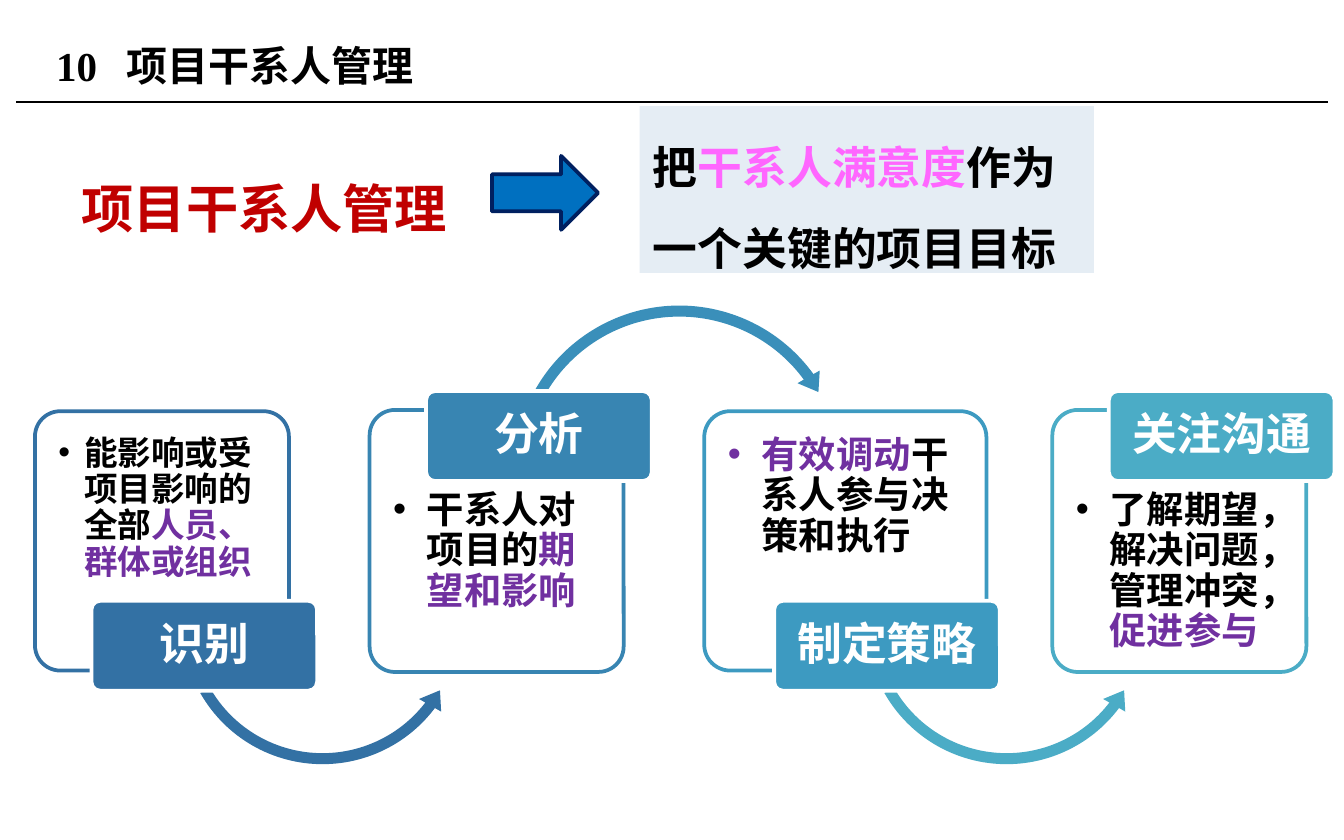
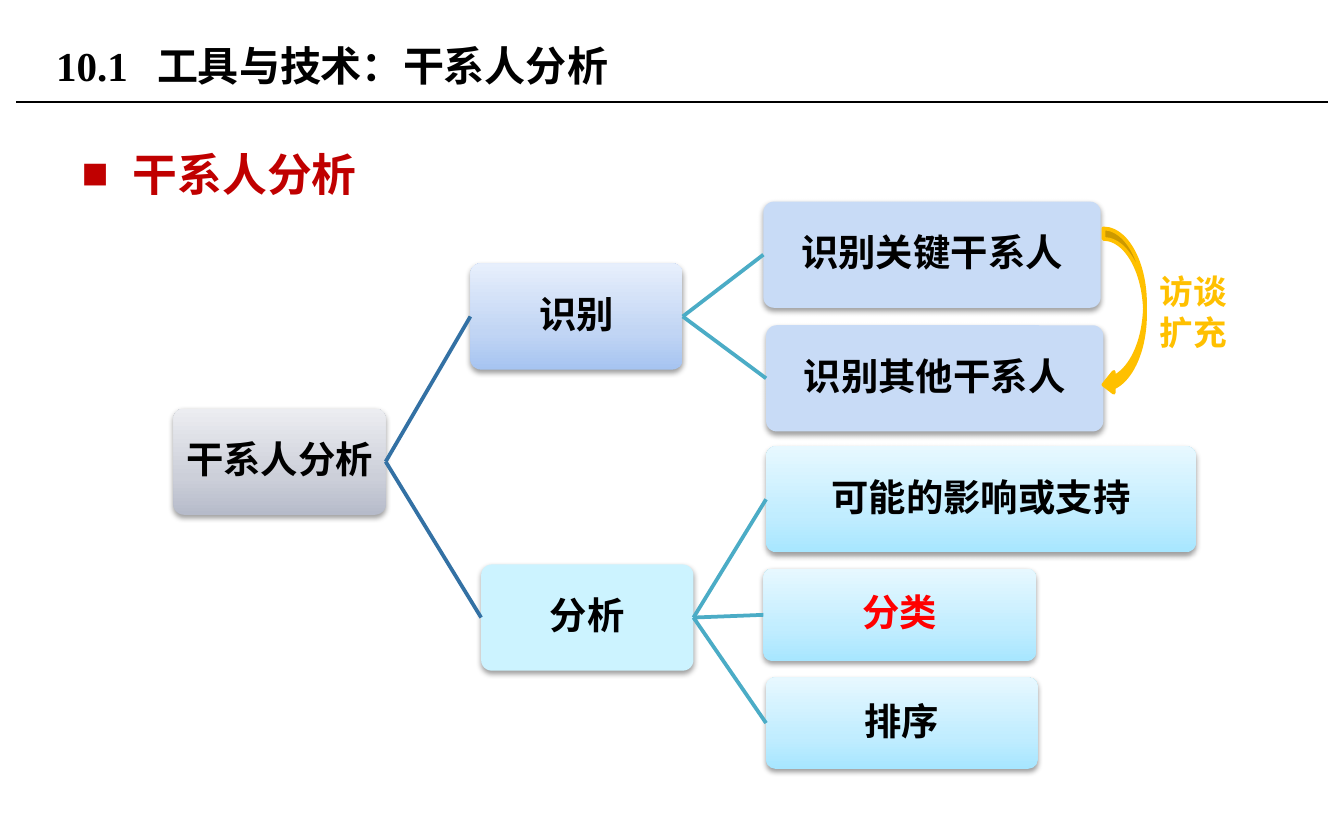
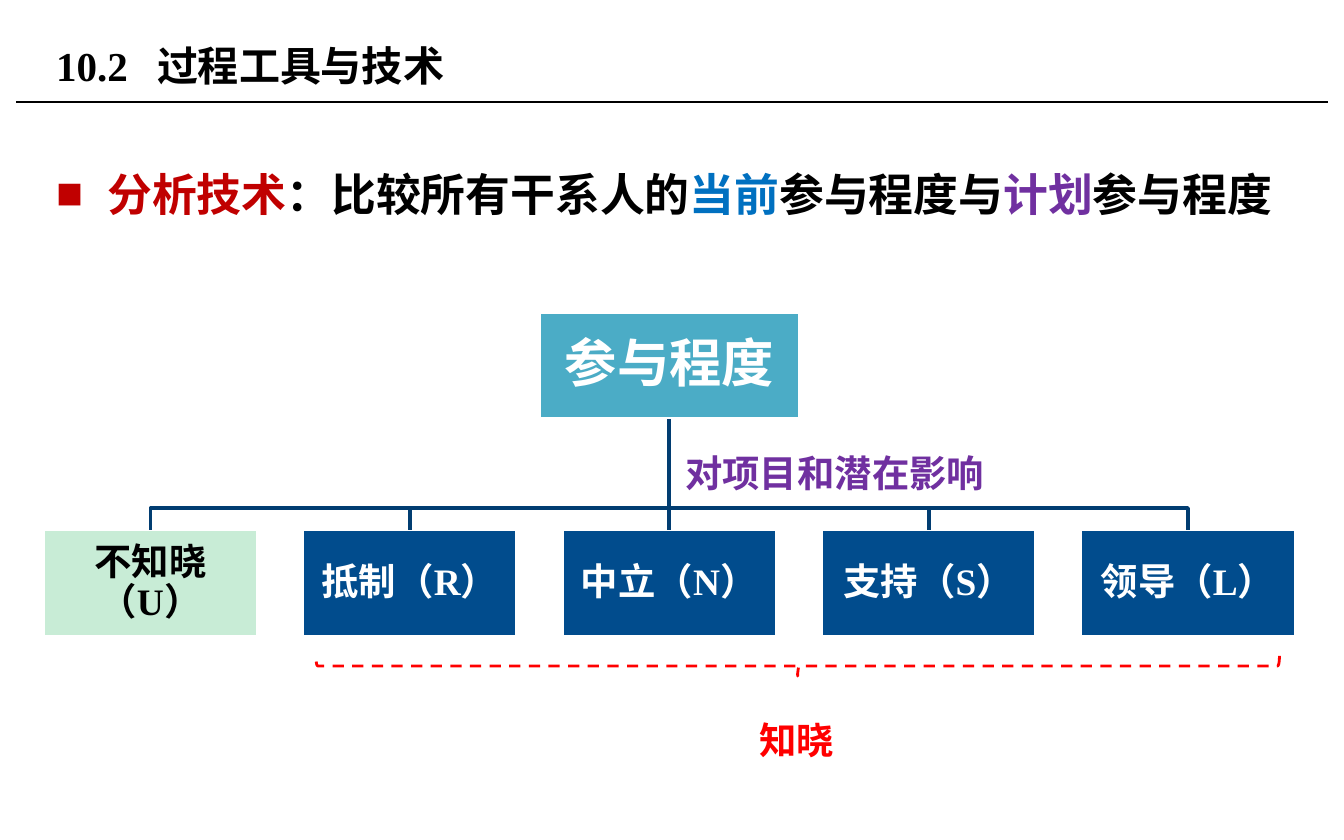
"""Build three slides on project stakeholder management."""
from copy import deepcopy

from pptx import Presentation
from pptx.dml.color import RGBColor
from pptx.enum.dml import MSO_LINE
from pptx.enum.shapes import MSO_CONNECTOR, MSO_SHAPE
from pptx.enum.text import MSO_ANCHOR, PP_ALIGN
from pptx.oxml.ns import qn
from pptx.util import Inches, Pt
from lxml.etree import SubElement

SERIF, SANS = "Times New Roman", "Roboto"
BLACK, WHITE, RED, PURPLE = "000000", "FFFFFF", "C00000", "7030A0"
BRIGHT_RED, BLUE, AMBER, TEAL = "FF0000", "0070C0", "FFC000", "4BACC6"
STEEL, TREE_LINE, NAVY = "3371A4", "013D71", "014C8D"

GREY_BLEND = ("B6BBCA", "CCCFD9", "ECEDF1")
BLUE_BLEND = ("A6C4F1", "C1D5F4", "E7EFFC")
CYAN_BLEND = ("A7E6FF", "C1EDFF", "E7F8FF")

GOAL = [("把", BLACK), ("干系人满意度", "FF66FF"), ("作为一个关键的项目目标", BLACK)]

STEPS = [
    {"name": "识别", "label_left": 0.68, "left": 0.26, "width": 1.89, "color": STEEL,
     "raised": False, "size": 18, "hang": 0.19,
     "text": [("能影响或受项目影响的全部", BLACK), ("人员、群体或组织", PURPLE)]},
    {"name": "分析", "label_left": 3.17, "left": 2.75, "width": 1.89, "color": "3885B2",
     "raised": True, "size": 20, "hang": 0.25,
     "text": [("干系人对项目的", BLACK), ("期望和影响", PURPLE)]},
    {"name": "制定策略", "label_left": 5.76, "left": 5.24, "width": 2.1, "color": "3D9AC1",
     "raised": False, "size": 20, "hang": 0.25,
     "text": [("有效调动", PURPLE), ("干系人参与决策和执行", BLACK)]},
    {"name": "关注沟通", "label_left": 8.25, "left": 7.83, "width": 1.89, "color": TEAL,
     "raised": True, "size": 20, "hang": 0.25,
     "text": [("了解期望，解决问题，管理冲突，", BLACK), ("促进参与", PURPLE)]},
]

UNDER_ARC = (MSO_SHAPE.LEFT_CIRCULAR_ARROW, (0.037, 4.575, 22.331, 90.246, 0.043))
OVER_ARC = (MSO_SHAPE.CIRCULAR_ARROW, (0.032, 3.88, 194.366, 125.756, 0.037))
ARCS = [
    (UNDER_ARC, (1.3, 3.54, 2.2, 2.2), STEEL),
    (OVER_ARC, (3.77, 2.22, 2.57, 2.57), "3A8FBA"),
    (UNDER_ARC, (6.39, 3.54, 2.2, 2.2), TEAL),
]

ANALYSIS_TREE = [
    ("干系人分析", None, (1.29, 3.04, 1.58, 0.79), GREY_BLEND, {}),
    ("识别", "干系人分析", (3.5, 1.96, 1.58, 0.79), BLUE_BLEND, {}),
    ("识别关键干系人", "识别", (5.68, 1.5, 2.51, 0.79), "C8DBF6", {}),
    ("识别其他干系人", "识别", (5.7, 2.42, 2.51, 0.79), "C8DBF6", {}),
    ("分析", "干系人分析", (3.58, 4.2, 1.58, 0.79), "CCF3FF", {}),
    ("可能的影响或支持", "分析", (5.7, 3.32, 3.2, 0.79), CYAN_BLEND, {}),
    ("分类", "分析", (5.68, 4.23, 2.03, 0.69), CYAN_BLEND,
     {"font": SANS, "color": BRIGHT_RED}),
    ("排序", "分析", (5.7, 5.04, 2.02, 0.68), CYAN_BLEND, {"font": SANS}),
]

COMPARISON = [("分析技术", RED), ("：比较所有干系人的", BLACK), ("当前", BLUE),
              ("参与程度与", BLACK), ("计划", PURPLE), ("参与程度", BLACK)]
LEVELS = ["不知晓（U）", "抵制（R）", "中立（N）", "支持（S）", "领导（L）"]


def rgb(color):
    return RGBColor.from_string(color)


def write(box, text, size=20, color=BLACK, font=SERIF, align=PP_ALIGN.LEFT,
          anchor=MSO_ANCHOR.TOP, inset=(0.1, 0.05), spacing=None, bullet=None,
          hang=0, tab=None, wrap=True):
    """Fill a box with text: a string, or (text, colour) pairs for one paragraph."""
    frame = box.text_frame
    frame.word_wrap = wrap
    frame.vertical_anchor = anchor
    frame.margin_left = frame.margin_right = Inches(inset[0])
    frame.margin_top = frame.margin_bottom = Inches(inset[1])
    lines = [[(line, color)] for line in text.split("\n")] if isinstance(text, str) else [text]
    for index, spans in enumerate(lines):
        para = frame.add_paragraph() if index else frame.paragraphs[0]
        para.alignment = align
        properties = para._p.get_or_add_pPr()
        if bullet:
            properties.set("marL", str(Inches(hang)))
            properties.set("indent", str(-Inches(hang)))
            SubElement(properties, qn("a:buFont"), typeface="Arial")
            SubElement(properties, qn("a:buChar"), char=bullet)
        if tab:
            stops = SubElement(properties, qn("a:tabLst"))
            SubElement(stops, qn("a:tab"), pos=str(Inches(tab)), algn="l")
        if spacing:
            para.line_spacing = spacing
        for words, span_color in spans:
            span = para.add_run()
            span.text = words
            span.font.name = font
            span.font.size = Pt(size)
            span.font.bold = True
            span.font.color.rgb = rgb(span_color)
    return box


def add_text(page, place, text, **style):
    return write(page.shapes.add_textbox(*map(Inches, place)), text, **style)


def blend(shape, colors):
    """Fill a shape with three colours running from bottom to top."""
    shape.fill.gradient()
    shape.fill.gradient_angle = 90
    stop_list = shape.element.spPr.find(qn("a:gradFill")).find(qn("a:gsLst"))
    stop_list.append(deepcopy(stop_list[0]))
    for stop, color, position in zip(shape.fill.gradient_stops, colors, (0, 0.35, 1)):
        stop.color.rgb = rgb(color)
        stop.position = position


def add_box(page, kind, place, fill=None, line=None, weight=2, adjust=()):
    shape = page.shapes.add_shape(kind, *map(Inches, place))
    shape.shadow.inherit = False
    for index, value in enumerate(adjust):
        shape.adjustments[index] = value
    if isinstance(fill, tuple):
        blend(shape, fill)
    else:
        paint(shape, fill)
    outline(shape, line, weight)
    return shape


def paint(shape, color):
    if color:
        shape.fill.solid()
        shape.fill.fore_color.rgb = rgb(color)
    else:
        shape.fill.background()


def outline(shape, color, weight):
    if color:
        shape.line.color.rgb = rgb(color)
        shape.line.width = Pt(weight)
    else:
        shape.line.fill.background()


def add_line(page, ends, color, weight):
    line = page.shapes.add_connector(MSO_CONNECTOR.STRAIGHT, *map(Inches, ends))
    SubElement(line.element.spPr, qn("a:effectLst"))
    outline(line, color, weight)
    return line


def join(page, start, start_side, end, end_side, color):
    line = add_line(page, (0, 0, 1, 1), color, 2)
    line.begin_connect(start, start_side)
    line.end_connect(end, end_side)


def add_soft_shadow(shape):
    effects = shape.element.spPr.find(qn("a:effectLst"))
    shadow = SubElement(effects, qn("a:outerShdw"), blurRad=str(Pt(3.1)),
                        dist=str(Pt(1.6)), dir="5400000", rotWithShape="0")
    color = SubElement(shadow, qn("a:srgbClr"), val=BLACK)
    SubElement(color, qn("a:alpha"), val="38000")


def add_page(deck, number, title, tab):
    page = deck.slides.add_slide(deck.slide_layouts[6])
    add_line(page, (0.12, 0.76, 9.88, 0.76), BLACK, 0.75)
    add_text(page, (0.32, 0.13, 6.38, 0.71), f"{number}\t{title}", size=22,
             anchor=MSO_ANCHOR.MIDDLE, tab=tab)
    return page


def label(shape, text, **style):
    settings = {"align": PP_ALIGN.CENTER, "anchor": MSO_ANCHOR.MIDDLE,
                "inset": (0.01, 0.01), "spacing": 0.9}
    return write(shape, text, **{**settings, **style})


def add_step(page, step):
    top, height, text_top = (3.05, 1.95, 0.55) if step["raised"] else (3.06, 1.93, 0.13)
    card = add_box(page, MSO_SHAPE.ROUNDED_RECTANGLE, (step["left"], top, step["width"], height),
                   WHITE, step["color"], adjust=(0.1,))
    write(card, step["text"], size=step["size"], inset=(0.12, 0.13), spacing=0.9,
          bullet="•", hang=step["hang"])
    card.text_frame.margin_top = Inches(text_top)


def add_step_name(page, step):
    top = 2.91 if step["raised"] else 4.47
    plate = add_box(page, MSO_SHAPE.ROUNDED_RECTANGLE, (step["label_left"], top, 1.68, 0.67),
                    step["color"], WHITE, adjust=(0.1,))
    label(plate, step["name"], size=24, color=WHITE, inset=(0.05, 0.03))


def build_management(deck):
    page = add_page(deck, "10", "项目干系人管理", 0.52)
    add_text(page, (0.51, 1.03, 3.1, 0.9), "项目干系人管理", size=28, color=RED, spacing=1.5)
    for step in STEPS:
        add_step(page, step)
    for (kind, adjust), place, color in ARCS:
        add_box(page, kind, place, color, adjust=adjust)
    for step in STEPS:
        add_step_name(page, step)
    goal = add_box(page, MSO_SHAPE.RECTANGLE, (4.76, 0.79, 3.38, 1.24), "E5EDF4")
    write(goal, GOAL, size=24, spacing=1.5)
    add_box(page, MSO_SHAPE.RIGHT_ARROW, (3.66, 1.16, 0.79, 0.55), BLUE, "002060")


def build_analysis(deck):
    page = add_page(deck, "10.1", "工具与技术：干系人分析", 0.75)
    nodes = {}
    for name, parent, place, fill, style in ANALYSIS_TREE:
        node = add_box(page, MSO_SHAPE.ROUNDED_RECTANGLE, place, fill, adjust=(0.1,))
        add_soft_shadow(node)
        nodes[name] = label(node, name, **style)
        if parent:
            color = STEEL if parent == "干系人分析" else TEAL
            join(page, nodes[parent], 3, node, 1, color)
    add_text(page, (0.51, 0.84, 4, 0.8), "干系人分析", size=24, color=RED, spacing=1.5,
             bullet="■", hang=0.38)
    add_box(page, MSO_SHAPE.CURVED_LEFT_ARROW, (8.21, 1.7, 0.31, 1.24), AMBER, AMBER)
    add_text(page, (8.53, 1.97, 0.71, 0.71), "访谈\n扩充", size=18, color=AMBER, wrap=False)


def build_engagement(deck):
    page = add_page(deck, "10.2", "过程工具与技术", 0.75)
    add_text(page, (0.32, 0.99, 9.32, 0.8), COMPARISON, size=24, spacing=1.5,
             bullet="■", hang=0.38)
    root = add_box(page, MSO_SHAPE.RECTANGLE, (4.01, 2.32, 1.94, 0.8), TEAL, WHITE)
    label(root, "参与程度", size=28, color=WHITE, inset=(0.02, 0.02))
    root_center, root_bottom, branch, leaf_top = 4.98, 3.12, 3.78, 3.94
    for index, name in enumerate(LEVELS):
        left = 0.32 + 1.93 * index
        fill, color = (NAVY, WHITE) if index else ("C8ECD6", BLACK)
        leaf = add_box(page, MSO_SHAPE.RECTANGLE, (left, leaf_top, 1.6, 0.8), fill, WHITE)
        label(leaf, name, color=color)
        if index == len(LEVELS) // 2:
            join(page, root, 2, leaf, 0, TREE_LINE)
            continue
        center = left + 0.8
        builder = page.shapes.build_freeform(Inches(root_center), Inches(root_bottom))
        corners = [(root_center, branch), (center, branch), (center, leaf_top)]
        builder.add_line_segments([(Inches(x), Inches(y)) for x, y in corners], close=False)
        elbow = builder.convert_to_shape()
        elbow.shadow.inherit = False
        paint(elbow, None)
        outline(elbow, TREE_LINE, 2)
    brace = add_box(page, MSO_SHAPE.RIGHT_BRACE, (5.86, 1.37, 0.15, 7.17), None, BRIGHT_RED, 1.5)
    brace.rotation = 90
    brace.line.dash_style = MSO_LINE.DASH
    add_text(page, (5.55, 5.29, 0.76, 0.44), "知晓", color=BRIGHT_RED, font=SANS, wrap=False)
    add_text(page, (5, 3.3, 2.45, 0.44), "对项目和潜在影响", color=PURPLE, wrap=False)


def main():
    deck = Presentation()
    deck.slide_width, deck.slide_height = Inches(10), Inches(6.25)
    build_management(deck)
    build_analysis(deck)
    build_engagement(deck)
    deck.save("out.pptx")


if __name__ == "__main__":
    main()
